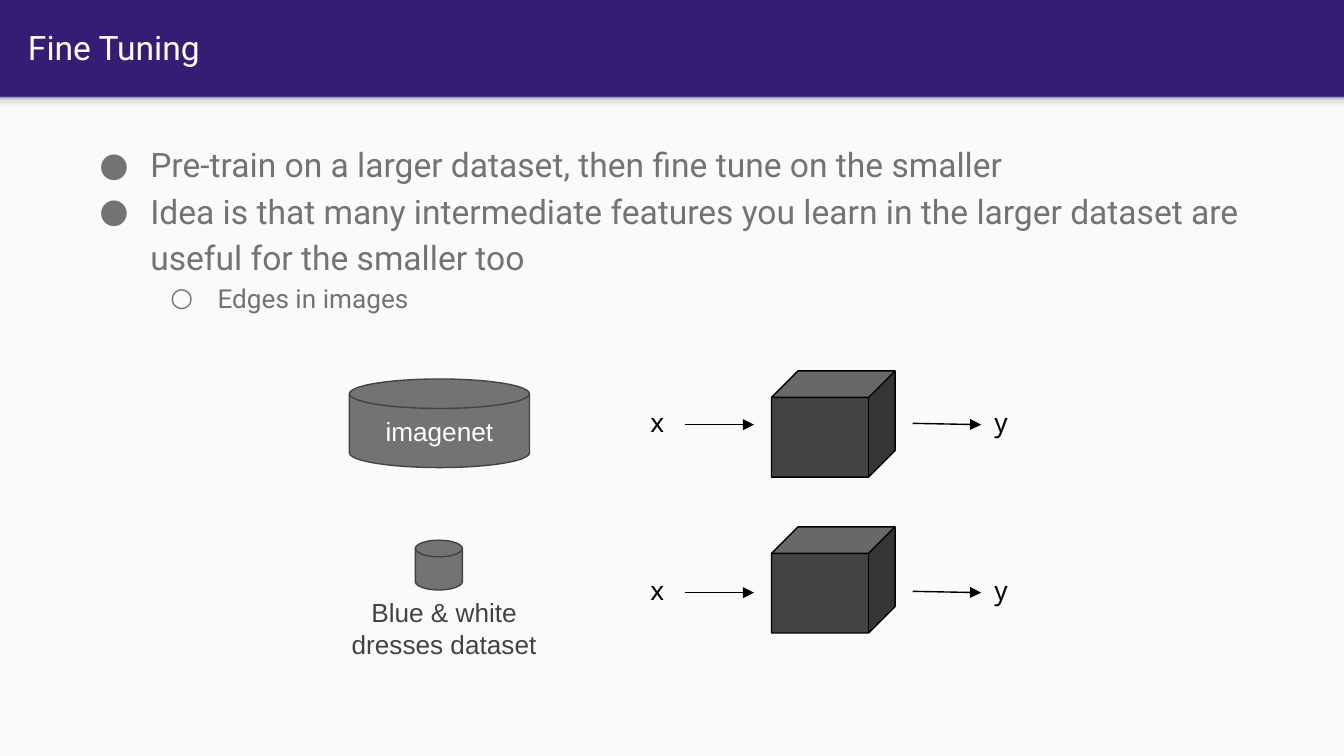
import pptx
import pptx.util
import pptx.oxml
import pptx.oxml.ns
import pptx.dml.color
import pptx.enum.shapes
import pptx.enum.text
from lxml import etree

Inches, Pt = pptx.util.Inches, pptx.util.Pt
KIND = pptx.enum.shapes.MSO_SHAPE
ALIGN = pptx.enum.text.PP_ALIGN
MIDDLE = pptx.enum.text.MSO_ANCHOR.MIDDLE
qn = pptx.oxml.ns.qn

COLORS = {
    "purple": "351C75", "paper": "FAFAFA", "grey": "737373",
    "dark": "424242", "cube": "434343", "black": "000000", "white": "FFFFFF",
}
SHADE = [(0, "F9F9F9"), (36, "F9F9F9"), (80, "DEDEDE"), (100, "999999")]


def color(name):
    return pptx.dml.color.RGBColor.from_string(COLORS[name])


def write(para, text, size=14, font="Arial", ink="black", align=None, space=None):
    """Put one formatted run into a paragraph."""
    run = para.add_run()
    run.text = text
    run.font.size = Pt(size)
    run.font.name = font
    run.font.color.rgb = color(ink)
    if align is not None:
        para.alignment = align
    if space:
        para.line_spacing = space


def bullet(para, mark, left, hang, font, ink, level=0):
    """Give a paragraph a coloured bullet and a hanging indent."""
    para.level = level
    props = para._p.get_or_add_pPr()
    props.set("marL", str(Inches(left)))
    props.set("indent", str(-Inches(hang)))
    tint = etree.SubElement(props, qn("a:buClr"))
    etree.SubElement(tint, qn("a:srgbClr"), val=COLORS[ink])
    etree.SubElement(props, qn("a:buFont"), typeface=font)
    etree.SubElement(props, qn("a:buChar"), char=mark)


class Deck:
    def __init__(self, wide, high):
        self.show = pptx.Presentation()
        self.show.slide_width = Inches(wide)
        self.show.slide_height = Inches(high)
        self.slide = self.show.slides.add_slide(self.show.slide_layouts[6])
        self.home = self.slide.shapes

    def back(self, ink):
        fill = self.slide.background.fill
        fill.solid()
        fill.fore_color.rgb = color(ink)

    def frame(self, shape, anchor=None):
        frame = shape.text_frame
        frame.word_wrap = True
        frame.margin_left = frame.margin_right = Inches(0.1)
        frame.margin_top = frame.margin_bottom = Inches(0.1)
        if anchor is not None:
            frame.vertical_anchor = anchor
        return frame

    def box(self, at, text=None, anchor=None, **style):
        frame = self.frame(self.home.add_textbox(*map(Inches, at)), anchor)
        if text:
            write(frame.paragraphs[0], text, **style)
        return frame

    def shape(self, kind, at, fill=None, line=None):
        shape = self.home.add_shape(kind, *map(Inches, at))
        shape.shadow.inherit = False
        if fill:
            shape.fill.solid()
            shape.fill.fore_color.rgb = color(fill)
        if line:
            shape.line.color.rgb = color(line)
            shape.line.width = Pt(0.75)
        else:
            shape.line.fill.background()
        return shape

    def fade(self, at, stops):
        """Draw a band that darkens from bottom to top."""
        shape = self.shape(KIND.RECTANGLE, at)
        shape.fill.gradient()
        shape.fill.gradient_angle = 90
        steps = shape._element.spPr.find(qn("a:gradFill")).find(qn("a:gsLst"))
        for old in list(steps):
            steps.remove(old)
        for pos, tone in stops:
            stop = etree.SubElement(steps, qn("a:gs"), pos=str(pos * 1000))
            etree.SubElement(stop, qn("a:srgbClr"), val=tone)

    def arrow(self, left, top, wide, drop=0):
        line = self.home.add_connector(
            pptx.enum.shapes.MSO_CONNECTOR.STRAIGHT,
            *map(Inches, (left, top, left + wide, top + drop)))
        line.line.color.rgb = color("black")
        line.line.width = Pt(0.75)
        etree.SubElement(line.line._get_or_add_ln(), qn("a:tailEnd"), type="triangle")
        etree.SubElement(line._element.spPr, qn("a:effectLst"))

    def flow(self, top):
        """Group the input and output marks of one model."""
        page = self.home
        self.home = page.add_group_shape().shapes
        for left, name in ((4.74, "x"), (7.3, "y")):
            self.box((left, top, 0.36, 0.48), name, font="Noto Sans")
        self.arrow(5.1, top + 0.24, 0.51)
        self.arrow(6.79, top + 0.23, 0.51, 0.01)
        self.home = page


def main():
    # A wide slide, 16 to 9
    deck = Deck(10, 10 * 9 / 16)

    # Page and title bar
    deck.back("purple")
    deck.shape(KIND.RECTANGLE, (0, 0.72, 10, 4.91), "paper")
    deck.fade((0, 0.72, 10, 0.12), SHADE)
    deck.box((0.11, 0.02, 9.65, 0.66), "Fine Tuning", MIDDLE,
             size=18, font="Roboto", ink="white")

    # Bullet list
    points = [
        (0, "Pre-train on a larger dataset, then fine tune on the smaller"),
        (0, "Idea is that many intermediate features you learn in the larger "
            "dataset are useful for the smaller too"),
        (1, "Edges in images"),
    ]
    looks = [("●", 0.5, 0.38, 18), ("○", 1, 0.35, 14)]
    body = deck.box((0.52, 0.93, 8.99, 4.24))
    for i, (level, text) in enumerate(points):
        para = body.add_paragraph() if i else body.paragraphs[0]
        mark, left, hang, size = looks[level]
        bullet(para, mark, left, hang, "Roboto", "grey", level)
        write(para, text, size, "Roboto", "grey", space=1.15)

    # Datasets
    disk = KIND.FLOWCHART_MAGNETIC_DISK
    large = deck.shape(disk, (2.6, 2.82, 1.34, 0.66), "grey", "dark")
    write(deck.frame(large, MIDDLE).paragraphs[0], "imagenet",
          ink="white", align=ALIGN.CENTER)
    deck.shape(disk, (3.09, 4.02, 0.35, 0.37), "grey", "dark")
    deck.box((2.51, 4.34, 1.59, 0.66), "Blue & white dresses dataset",
             ink="dark", align=ALIGN.CENTER)

    # Models, one per dataset
    for cube, flow in ((2.76, 2.92), (3.92, 4.17)):
        deck.shape(KIND.CUBE, (5.74, cube, 0.92, 0.79), "cube", "black")
        deck.flow(flow)

    deck.show.save("out.pptx")


if __name__ == "__main__":
    main()
